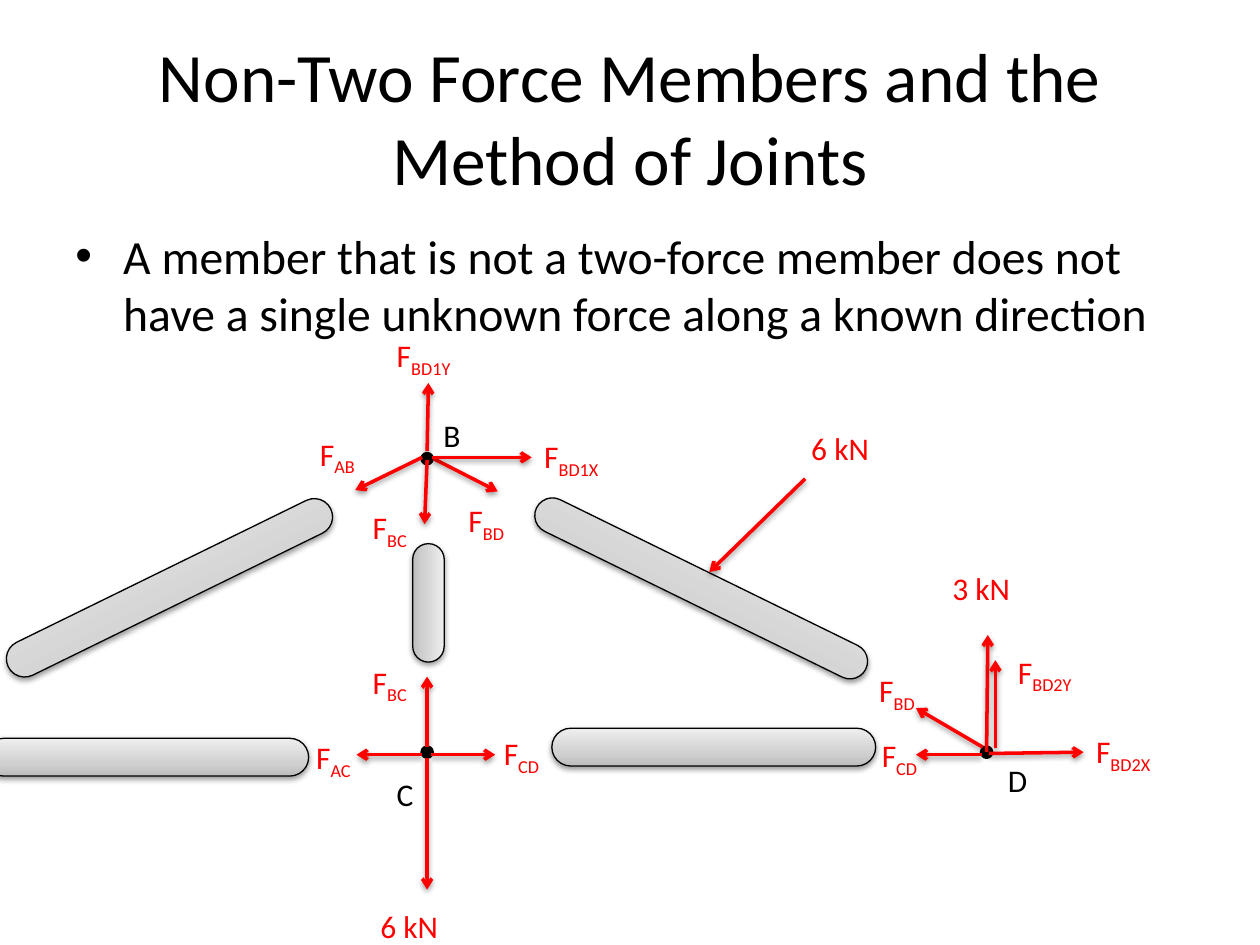
from dataclasses import dataclass

from lxml import etree
from pptx import Presentation
from pptx.dml.color import RGBColor
from pptx.enum.shapes import MSO_CONNECTOR, MSO_SHAPE
from pptx.enum.text import MSO_ANCHOR, MSO_AUTO_SIZE, PP_ALIGN
from pptx.oxml import parse_xml
from pptx.oxml.ns import nsdecls, qn
from pptx.util import Inches, Pt

ROUND, OVAL = MSO_SHAPE.ROUNDED_RECTANGLE, MSO_SHAPE.OVAL
STRAIGHT = MSO_CONNECTOR.STRAIGHT
TOP, MIDDLE = MSO_ANCHOR.TOP, MSO_ANCHOR.MIDDLE
LEFT, CENTER = PP_ALIGN.LEFT, PP_ALIGN.CENTER
GROW = MSO_AUTO_SIZE.SHAPE_TO_FIT_TEXT
COLS, ROWS = 100, 75


@dataclass(frozen=True)
class Theme:
    """Colours, font and sizes of the slide."""
    ink: RGBColor = RGBColor(0, 0, 0)
    force: RGBColor = RGBColor(255, 0, 0)
    steel: tuple = ((0, "BDBDBD"), (35, "D1D1D1"), (100, "EEEEEE"))
    font: str = "Calibri"
    title: float = 39.6
    body: float = 27.2
    label: float = 18
    thin: float = 0.75
    thick: float = 2


THEME = Theme()
TITLE = "Non-Two Force Members and the Method of Joints"
BODY = ("A member that is not a two-force member does not "
        "have a single unknown force along a known direction")
BARS = [
    ((-1.2, 58.6, 25.7, 3), 0),
    ((43.8, 57.8, 25.7, 3), 0),
    ((29.3, 46.6, 9.4, 2.5), 90),
    ((-0.8, 45.2, 28.5, 2.9), 333.9),
    ((41.1, 45.3, 29.1, 2.8), 26.1),
]
JOINTS = [
    ("B", (33.9, 36.4), (34.2, 32.5)),
    ("C", (33.9, 59.7), (30.5, 61)),
    ("D", (78.3, 59.7), (79, 59.9)),
]
FORCES = [
    ((33.5, 36.3), (28.2, 38.9), "F", "AB", (24.4, 34, 6.2)),
    ((34.4, 36.4), (39.5, 39), "F", "BD", (36.2, 39.3, 5.6)),
    ((33.9, 36.5), (33.7, 41.6), "F", "BC", (28.6, 39.8, 5.6)),
    ((33.9, 35.8), (34, 30.4), "F", "BD1Y", (30.5, 26.2, 7.8)),
    ((34.3, 36.3), (42.2, 36.3), "F", "BD1X", (42.2, 34.2, 7.8)),
    ((33.9, 60.2), (33.9, 70.6), "6 kN", "", (29.2, 71.5, 9.4)),
    ((33.9, 59.3), (33.9, 53.7), "F", "BC", (28.6, 52.1, 5.6)),
    ((34.2, 59.9), (39.3, 59.9), "F", "CD", (39, 57.8, 5.6)),
    ((33.5, 59.9), (28.3, 59.9), "F", "AC", (24.1, 58.1, 5.1)),
    ((78.3, 59.7), (78.4, 50.4), "3 kN", "", (74.6, 44.7, 7.9)),
    ((78, 59.3), (72.7, 56.2), "F", "BD", (68.8, 52.8, 5.6)),
    ((77.9, 59.9), (72.7, 59.9), "F", "CD", (69, 57.9, 5.6)),
    ((78.5, 59.8), (86, 59.7), "F", "BD2X", (86, 57.6, 7.8)),
    ((79, 59.4), (79, 52.4), "F", "BD2Y", (79.8, 51.3, 7.8)),
    ((63.9, 38), (56.3, 45.4), "6 kN", "", (63.4, 33.6, 9.4)),
]


def cells(*vals):
    """Turn grid cells into lengths."""
    return [Inches(val * 10 / COLS) for val in vals]


def shade(props):
    """Give shape properties a soft drop shadow."""
    old = props.find(qn("a:effectLst"))
    if old is not None:
        props.remove(old)
    props.append(parse_xml(
        f'<a:effectLst {nsdecls("a")}><a:outerShdw blurRad="40000" dist="20000" '
        'dir="5400000" rotWithShape="0"><a:srgbClr val="000000">'
        '<a:alpha val="38000"/></a:srgbClr></a:outerShdw></a:effectLst>'))


def blend(props):
    """Fill shape properties with the steel gradient."""
    stops = "".join(f'<a:gs pos="{pos * 1000}"><a:srgbClr val="{tint}"/></a:gs>'
                    for pos, tint in THEME.steel)
    props.find(qn("a:prstGeom")).addnext(parse_xml(
        f'<a:gradFill {nsdecls("a")} rotWithShape="1"><a:gsLst>{stops}</a:gsLst>'
        '<a:lin ang="16200000" scaled="1"/></a:gradFill>'))


def add_bar(slide, box, turn):
    """Draw one steel member."""
    bar = slide.shapes.add_shape(ROUND, *cells(*box))
    bar.adjustments[0] = 0.5
    bar.rotation = turn
    bar.line.color.rgb = THEME.ink
    bar.line.width = Pt(THEME.thin)
    blend(bar._element.spPr)
    shade(bar._element.spPr)


def add_dot(slide, mid):
    """Draw a joint as a dot around its centre."""
    size = 0.8
    left, top = (val - size / 2 for val in mid)
    dot = slide.shapes.add_shape(OVAL, *cells(left, top, size, size))
    dot.shadow.inherit = False
    dot.fill.solid()
    dot.fill.fore_color.rgb = THEME.ink
    dot.line.color.rgb = THEME.ink
    dot.line.width = Pt(THEME.thick)


def add_arrow(slide, start, end):
    """Draw one force arrow."""
    arrow = slide.shapes.add_connector(STRAIGHT, *cells(*start, *end))
    arrow.line.color.rgb = THEME.force
    arrow.line.width = Pt(THEME.thick)
    etree.SubElement(arrow.line._get_or_add_ln(), qn("a:tailEnd"), type="arrow")
    shade(arrow._element.spPr)


def add_run(para, text, size, color, sub=False):
    """Add a run, lowered if it is a subscript."""
    run = para.add_run()
    run.text = text
    run.font.name = THEME.font
    run.font.size = Pt(size)
    run.font.color.rgb = color
    if sub:
        run._r.get_or_add_rPr().set("baseline", "-25000")


def add_box(slide, box, anchor=TOP, align=LEFT):
    """Add a wrapping text box and return it with its paragraph."""
    shape = slide.shapes.add_textbox(*cells(*box))
    shape.text_frame.word_wrap = True
    shape.text_frame.vertical_anchor = anchor
    para = shape.text_frame.paragraphs[0]
    para.alignment = align
    return shape, para


def add_label(slide, spot, text, color, sub=""):
    """Add a label with an optional subscript."""
    shape, para = add_box(slide, (*spot, 4))
    shape.text_frame.auto_size = GROW
    add_run(para, text, THEME.label, color)
    if sub:
        add_run(para, sub, THEME.label, color, True)


def add_bullet(slide, box, text):
    """Add the bulleted statement."""
    para = add_box(slide, box)[1]
    props = para._p.get_or_add_pPr()
    indent = Inches(0.38)
    props.set("marL", str(indent))
    props.set("indent", str(-indent))
    etree.SubElement(props, qn("a:buFont"), typeface="Arial")
    etree.SubElement(props, qn("a:buChar"), char="•")
    add_run(para, text, THEME.body, THEME.ink)


def main():
    """Build and save the slide."""
    deck = Presentation()
    deck.slide_width, deck.slide_height = cells(COLS, ROWS)
    slide = deck.slides.add_slide(deck.slide_layouts[6])
    head = add_box(slide, (5, 3, 90, 12.5), MIDDLE, CENTER)[1]
    add_run(head, TITLE, THEME.title, THEME.ink)
    add_bullet(slide, (5, 17.5, 90, 10.8), BODY)
    for box, turn in BARS:
        add_bar(slide, box, turn)
    for name, mid, spot in JOINTS:
        add_dot(slide, mid)
        add_label(slide, (*spot, 3.3), name, THEME.ink)
    for start, end, text, sub, spot in FORCES:
        add_arrow(slide, start, end)
        add_label(slide, spot, text, THEME.force, sub)
    deck.save("out.pptx")


if __name__ == "__main__":
    main()
